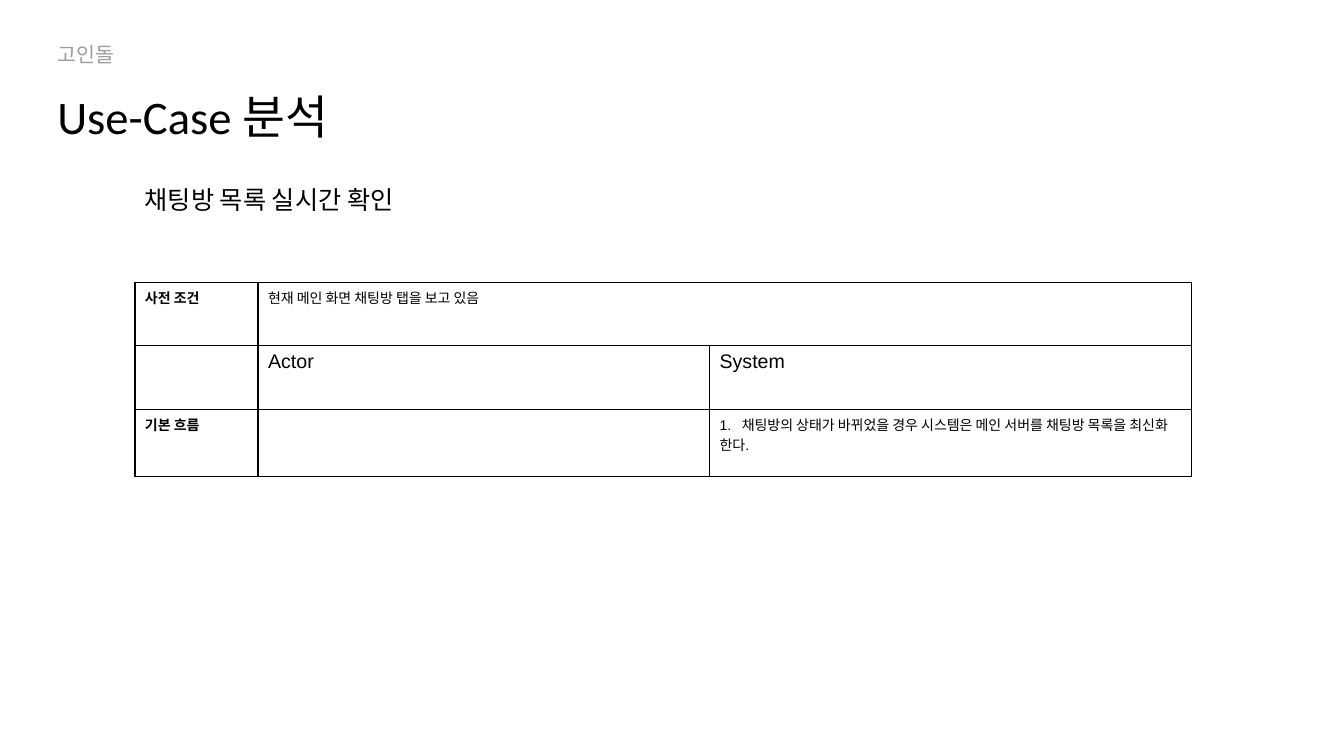
"""Build the use-case analysis slide for the live chat room list."""
from dataclasses import dataclass

from lxml import etree
from pptx import Presentation
from pptx import util as u
from pptx.dml.color import RGBColor
from pptx.enum import text
from pptx.oxml import ns

BLACK = "000000"
COLUMN_WIDTHS = (3.1, 11.38, 12.14)
ROW_HEIGHTS = (1.6, 1.6, 1.7)


@dataclass(frozen=True)
class Heading:
    content: str
    left: float
    top: float
    width: float
    height: float
    size: float
    color: str = BLACK


@dataclass(frozen=True)
class Entry:
    row: int
    column: int
    content: str
    size: float = 10
    bold: bool = False


TITLE = Heading("Use-Case 분석", 1.19, 2.08, 13.41, 1.68, 33.3)
LABELS = (
    Heading("고인돌", 1.19, 0.94, 7.19, 0.89, 14.7, "9E9E9E"),
    Heading("채팅방 목록 실시간 확인", 3.4, 4.52, 7.67, 1.02, 18),
)
ENTRIES = (
    Entry(0, 0, "사전 조건", bold=True),
    Entry(0, 1, "현재 메인 화면 채팅방 탭을 보고 있음"),
    Entry(1, 1, "Actor", 14),
    Entry(1, 2, "System", 14),
    Entry(2, 0, "기본 흐름", bold=True),
    Entry(2, 2, "1.\t채팅방의 상태가 바뀌었을 경우 시스템은 메인 서버를 채팅방 목록을 최신화 한다."),
)


def rgb(value: str) -> RGBColor:
    """Turn a hex string into a colour."""
    return RGBColor.from_string(value)


def format_runs(paragraph, name: str, size: float, color: str, bold: bool = False) -> None:
    """Set the font of every run in a paragraph."""
    for run in paragraph.runs:
        run.font.name = name
        run.font.size = u.Pt(size)
        run.font.bold = bold
        run.font.color.rgb = rgb(color)


def place_heading(shape, heading: Heading) -> None:
    """Position a text shape and fill it with a heading."""
    shape.left, shape.top = u.Cm(heading.left), u.Cm(heading.top)
    shape.width, shape.height = u.Cm(heading.width), u.Cm(heading.height)
    frame = shape.text_frame
    frame.text = heading.content
    frame.word_wrap = True
    frame.auto_size = text.MSO_AUTO_SIZE.SHAPE_TO_FIT_TEXT
    frame.vertical_anchor = text.MSO_ANCHOR.TOP
    paragraph = frame.paragraphs[0]
    paragraph.alignment = text.PP_ALIGN.LEFT
    format_runs(paragraph, "Calibri", heading.size, heading.color)


def outline_cell(cell) -> None:
    """Give a cell thin black borders and no fill."""
    properties = cell._tc.get_or_add_tcPr()
    for side in ("lnL", "lnR", "lnT", "lnB"):
        line = etree.SubElement(properties, ns.qn(f"a:{side}"), w=str(u.Pt(1)))
        fill = etree.SubElement(line, ns.qn("a:solidFill"))
        etree.SubElement(fill, ns.qn("a:srgbClr"), val=BLACK)
    cell.fill.background()


def add_tab_stop(paragraph, position: float) -> None:
    """Add a left tab stop to a paragraph."""
    tabs = etree.SubElement(paragraph._p.get_or_add_pPr(), ns.qn("a:tabLst"))
    etree.SubElement(tabs, ns.qn("a:tab"), pos=str(u.Cm(position)), algn="l")


def write_entry(table, entry: Entry) -> None:
    """Write one entry into its table cell."""
    frame = table.cell(entry.row, entry.column).text_frame
    frame.text = entry.content
    paragraph = frame.paragraphs[0]
    if "\t" in entry.content:
        add_tab_stop(paragraph, 0.56)
    format_runs(paragraph, "Arial", entry.size, BLACK, entry.bold)


def add_flow_table(slide) -> None:
    """Add the table of precondition and basic flow."""
    table = slide.shapes.add_table(
        len(ROW_HEIGHTS), len(COLUMN_WIDTHS), u.Cm(3.4), u.Cm(7.11),
        u.Cm(sum(COLUMN_WIDTHS)), u.Cm(sum(ROW_HEIGHTS)),
    ).table
    table.first_row = table.horz_banding = False
    for column, width in zip(table.columns, COLUMN_WIDTHS):
        column.width = u.Cm(width)
    for row, height in zip(table.rows, ROW_HEIGHTS):
        row.height = u.Cm(height)
    for cell in table.iter_cells():
        outline_cell(cell)
    table.cell(0, 1).merge(table.cell(0, 2))
    for entry in ENTRIES:
        write_entry(table, entry)


def main() -> None:
    """Create the presentation and save it."""
    presentation = Presentation()
    presentation.slide_width, presentation.slide_height = u.Cm(33.87), u.Cm(19.05)
    slide = presentation.slides.add_slide(presentation.slide_layouts.get_by_name("Title Only"))
    place_heading(slide.shapes.title, TITLE)
    for label in LABELS:
        place_heading(slide.shapes.add_textbox(0, 0, 0, 0), label)
    add_flow_table(slide)
    presentation.save("out.pptx")


if __name__ == "__main__":
    main()
